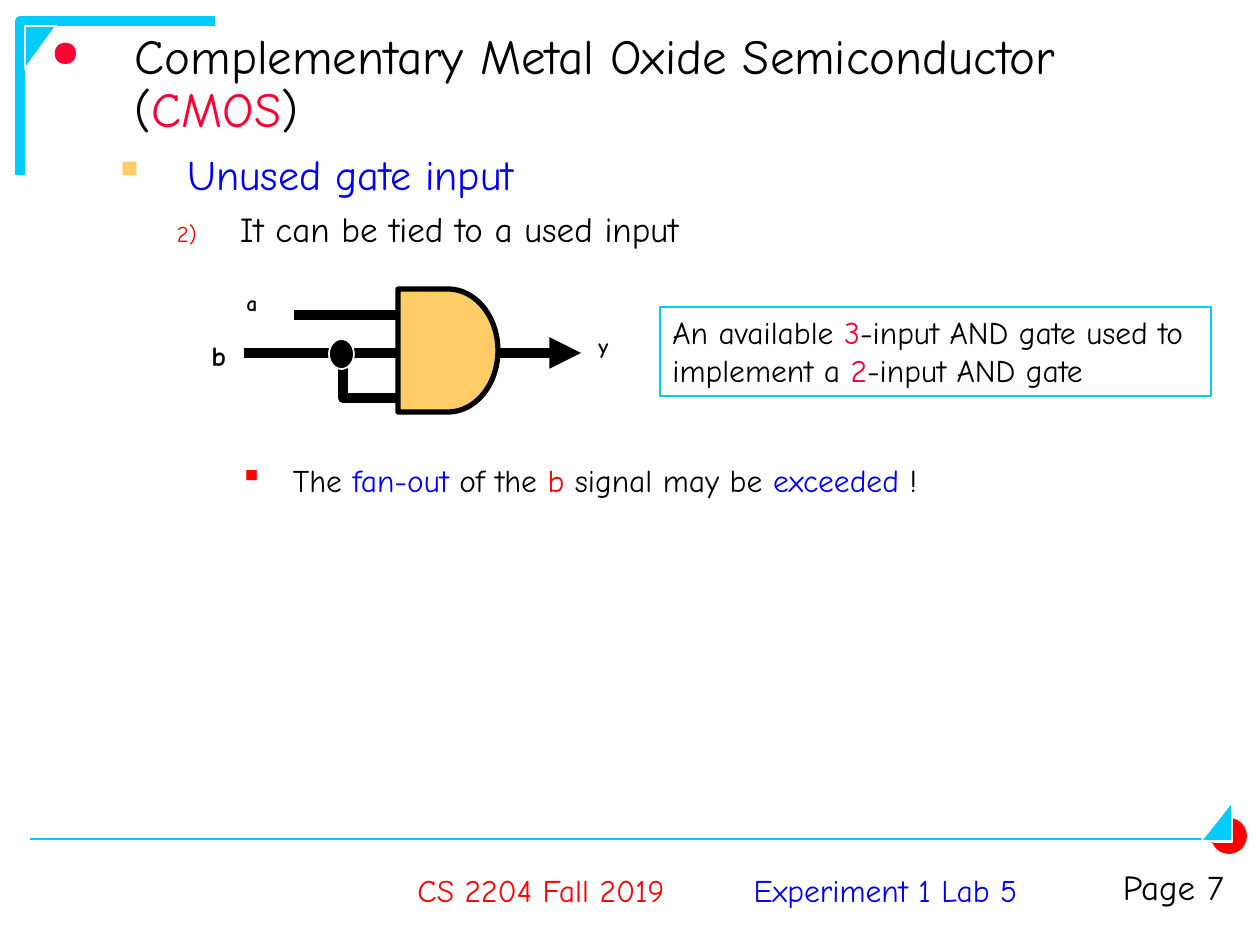
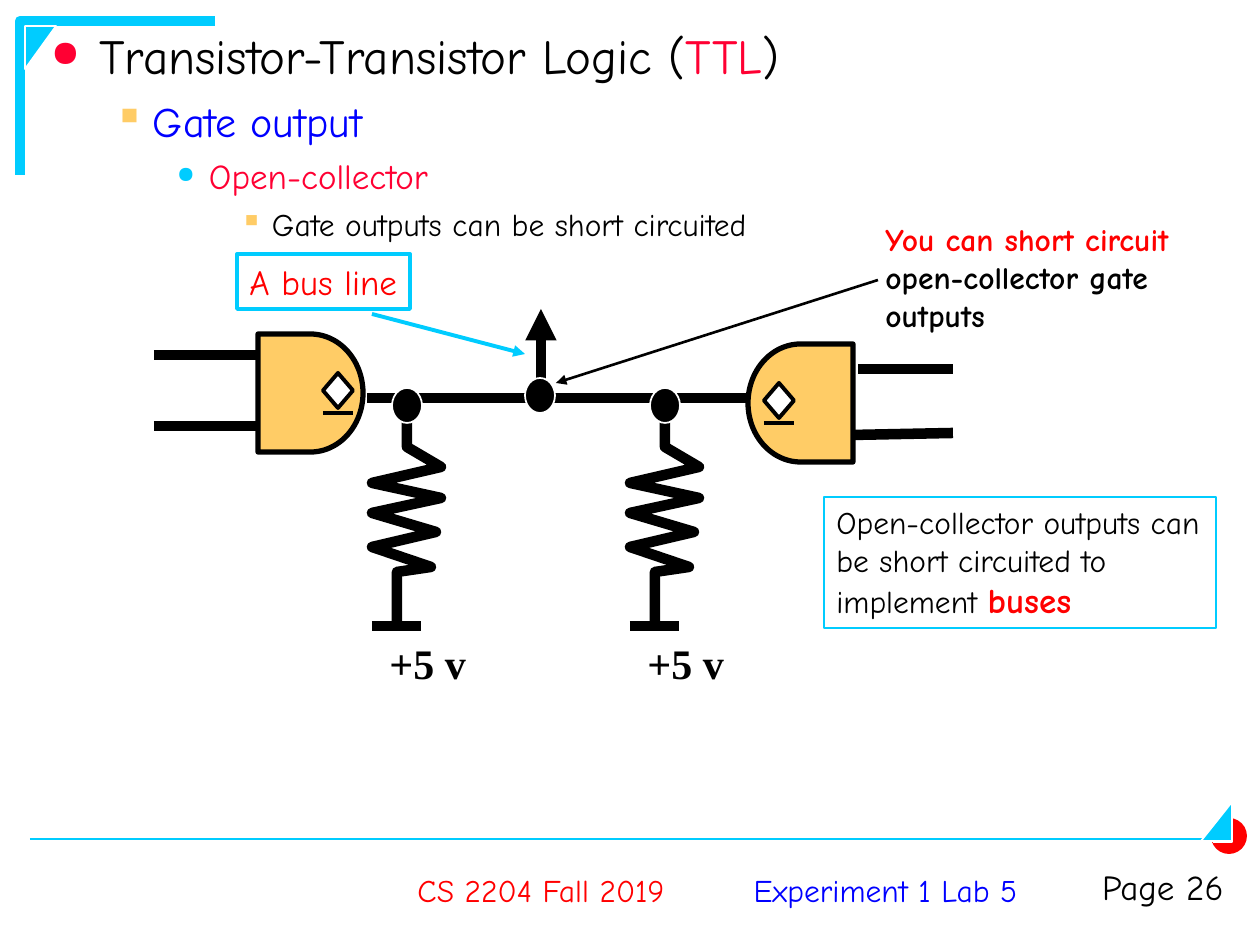
from lxml.etree import SubElement
from pptx import Presentation
from pptx.dml.color import RGBColor as RGB
from pptx.enum.shapes import MSO_CONNECTOR, MSO_SHAPE as Kind
from pptx.enum.text import MSO_ANCHOR as Anchor, PP_ALIGN as Align
from pptx.oxml.ns import qn
from pptx.util import Pt

PX = 7257  # EMU in one px, 126 px to the inch
FONT = "Comic Neue"
BLACK, WHITE = RGB(0, 0, 0), RGB(255, 255, 255)
RED, ROSE = RGB(255, 0, 0), RGB(255, 0, 51)
BLUE, CYAN, GOLD = RGB(0, 0, 255), RGB(0, 204, 255), RGB(255, 204, 102)
LEFT, MID, RIGHT = Align.LEFT, Align.CENTER, Align.RIGHT


def write(para, runs, size, bold=False, font=FONT):
    """Fill a paragraph with (text, colour) runs; a third item is a larger, bold size."""
    para.font.name, para.font.size, para.font.bold = font, Pt(size), bold
    for text, color, *big in runs:
        run = para.add_run()
        run.text = text
        run.font.color.rgb = color
        if big:
            run.font.size, run.font.bold = Pt(big[0]), True


def trace(shapes, points, color=BLACK, width=6, arrow=False):
    """Draw a straight connector through two points, or an open path through more."""
    if len(points) == 2:
        ends = [n * PX for point in points for n in point]
        part = shapes.add_connector(MSO_CONNECTOR.STRAIGHT, *ends)
    else:
        pen = shapes.build_freeform(*points[0], scale=PX)
        pen.add_line_segments(points[1:], close=False)
        part = pen.convert_to_shape()
        part.fill.background()
    part.line.color.rgb, part.line.width = color, Pt(width)
    props = part.element.spPr
    line = props.find(qn("a:ln"))
    SubElement(line, qn("a:round"))
    if arrow:
        SubElement(line, qn("a:tailEnd"), type="triangle")
    SubElement(props, qn("a:effectLst"))


# Shared frame. Wires: points, colour, width, arrow. Solids: kind, box, turn, fill, line, width.
EDGE = [
    ([(20, 175), (20, 21), (215, 21)], CYAN, 6),
    ([(30, 839), (1203, 839)], CYAN, 1.5),
]
TRIM = [
    (Kind.RIGHT_TRIANGLE, (19, 32, 43, 31), 90, CYAN, WHITE, 1),
    (Kind.OVAL, (1211, 818, 36, 36), 0, RED, None, 0),
    (Kind.RIGHT_TRIANGLE, (1197, 806, 39, 31), 270, CYAN, WHITE, 1),
]
NOTCH = [([(1232, 814), (1232, 842), (1213, 842)], WHITE, 0.75)]

# Outline rows: margin, hang, space before, size, bullet, bullet colour, bullet %, runs
CMOS = {
    "page": 7,
    "rows": [
        (84, 84, 7, 28, "●", ROSE, 75, [
            ("Complementary Metal Oxide Semiconductor (", BLACK), ("CMOS", ROSE), (")", BLACK)]),
        (136, 73, 6, 24, "▪", GOLD, 100, [("Unused gate input", BLUE)]),
        (189, 63, 5, 20, 2, RED, 65, [("It can be tied to a used input", BLACK)]),
        (242, 53, 120.5, 18, "▪", RED, 100, [
            ("The ", BLACK), ("fan-out", BLUE), (" of the ", BLACK), ("b", RED),
            (" signal may be ", BLACK), ("exceeded ", BLUE), ("!", BLACK)]),
    ],
    "wires": [
        ([(244, 353), (398, 353)],),
        ([(294, 315), (398, 315)],),
        ([(343, 358), (343, 398), (398, 398)],),
        ([(496, 353), (581, 353)], BLACK, 6, True),
    ],
    "solids": [
        (Kind.FLOWCHART_DELAY, (398, 289, 100, 123), 0, GOLD, BLACK, 3),
        (Kind.OVAL, (329, 339, 25, 30), 0, BLACK, WHITE, 1),
    ],
    "marks": [],
    # Notes: box, border width, line spacing, wrap, runs, size, bold, font
    "notes": [
        ((234, 291, 50, 32), 0, 0.7, True, [("a", BLACK)], 12.4, True),
        ((199, 339, 63, 42), 0, 0.8, True, [("b", BLACK)], 16, True),
        ((586, 334, 50, 32), 0, 0.7, True, [("y", BLACK)], 12.4, True),
        ((660, 307, 551, 89), 1, 1, True, [
            ("An available ", BLACK), ("3", ROSE), ("-input AND gate used to implement a ", BLACK),
            ("2", ROSE), ("-input AND gate", BLACK)], 18),
    ],
}
TTL = {
    "page": 26,
    "rows": [
        (48, 48, 7, 28, "●", ROSE, 75, [
            ("Transistor-Transistor Logic (", BLACK), ("TTL", ROSE), (")", BLACK)]),
        (102, 39, 6, 24, "▪", GOLD, 100, [("Gate output", BLUE)]),
        (158, 32, 5, 20, "●", CYAN, 65, [("Open-collector", ROSE)]),
        (221, 32, 4.5, 18, "▪", GOLD, 100, [("Gate outputs can be short circuited", BLACK)]),
    ],
    "wires": [
        ([(367, 398), (748, 398)],),
        ([(154, 355), (258, 355)],),
        ([(154, 426), (258, 426)],),
        ([(953, 369), (858, 369)],),
        ([(953, 433), (853, 435)],),
        ([(541, 393), (541, 309)], BLACK, 6, True),
    ],
    "solids": [(Kind.OVAL, (525, 378, 30, 35), 0, BLACK, WHITE, 1)],
    "marks": [
        ([(878, 280), (556, 383)], BLACK, 1.5, True),
        ([(372, 314), (525, 354)], CYAN, 2.25, True),
    ],
    "notes": [
        ((873, 214, 348, 126), 0, 1, True, [
            ("You can short circuit", RED), (" open-collector gate outputs", BLACK)], 18, True),
        ((824, 497, 392, 131), 1, 1, True, [
            ("Open-collector outputs can be short circuited to implement ", BLACK),
            ("buses", RED, 20)], 18),
        ((237, 254, 173, 55), 2.25, 1, False, [("A bus line", RED)], 20),
    ],
}

# Pull-up resistors on the bus
ZIGZAG = [(407, 408), (407, 447), (441, 467), (372, 483), (441, 498), (372, 513),
          (436, 532), (372, 547), (431, 567), (397, 572), (397, 621)]
for shift in (0, 258):
    TTL["wires"] += [([(x + shift, y) for x, y in ZIGZAG],),
                     ([(372 + shift, 626), (421 + shift, 626)],)]
    TTL["solids"].append((Kind.OVAL, (392 + shift, 388, 30, 35), 0, BLACK, WHITE, 1))
    TTL["notes"].append(((377 + shift, 631, 110, 63), 0, 1, True,
                         [("+5 v", BLACK)], 24, True, "Times New Roman"))

# Gates with their open-collector sign
for left, top, turn, sign in ((258, 334, 0, 323), (748, 344, 180, 764)):
    TTL["solids"] += [
        (Kind.FLOWCHART_DELAY, (left, top, 105, 118), turn, GOLD, BLACK, 3),
        (Kind.DIAMOND, (sign, top + 39, 30, 35), 0, WHITE, BLACK, 2.25),
    ]
    TTL["marks"].append(([(sign, top + 79), (sign + 30, top + 79)], BLACK, 2.25))

deck = Presentation()
deck.slide_width, deck.slide_height = 1260 * PX, 945 * PX

for plan in (CMOS, TTL):
    shapes = deck.slides.add_slide(deck.slide_layouts[6]).shapes

    for wire in EDGE + plan["wires"]:
        trace(shapes, *wire)
    for kind, box, turn, fill, line, width in TRIM + plan["solids"]:
        solid = shapes.add_shape(kind, *[n * PX for n in box])
        solid.shadow.inherit = False
        solid.rotation = turn
        solid.fill.solid()
        solid.fill.fore_color.rgb = fill
        if line is None:
            solid.line.fill.background()
        else:
            solid.line.color.rgb, solid.line.width = line, Pt(width)
    for mark in NOTCH + plan["marks"]:
        trace(shapes, *mark)

    body = shapes.add_textbox(26 * PX, 26 * PX, 1207 * PX, 814 * PX).text_frame
    body.word_wrap = True
    body.margin_left = body.margin_right = 25 * PX
    for i, (margin, hang, gap, size, sign, tint, scale, runs) in enumerate(plan["rows"]):
        para = body.add_paragraph() if i else body.paragraphs[0]
        para.level = i
        para.line_spacing = 1 if i else 0.9
        para.space_before = Pt(gap if i else 0)
        props = para._p.get_or_add_pPr()
        props.set("marL", str(margin * PX))
        props.set("indent", str(-hang * PX))
        SubElement(SubElement(props, qn("a:buClr")), qn("a:srgbClr"), val=str(tint))
        SubElement(props, qn("a:buSzPct"), val=str(scale * 1000))
        if isinstance(sign, int):
            SubElement(props, qn("a:buAutoNum"), type="arabicParenR", startAt=str(sign))
        else:
            SubElement(props, qn("a:buChar"), char=sign)
        write(para, runs, size)

    for box, border, pitch, wrap, *words in plan["notes"]:
        note = shapes.add_textbox(*[n * PX for n in box])
        if border:
            note.line.color.rgb, note.line.width = CYAN, Pt(border)
        note.text_frame.word_wrap = wrap
        para = note.text_frame.paragraphs[0]
        para.line_spacing = pitch
        write(para, *words)

    for box, anchor, align, text, color, size in (
        ((724, 849, 323, 81), Anchor.MIDDLE, MID, "Experiment 1 Lab 5", BLUE, 18),
        ((377, 849, 328, 81), Anchor.MIDDLE, MID, "CS 2204 Fall 2019", RED, 18),
        ((1052, 859, 184, 71), Anchor.TOP, RIGHT, f"Page {plan['page']}", BLACK, 20),
    ):
        foot = shapes.add_textbox(*[n * PX for n in box]).text_frame
        foot.word_wrap = True
        foot.vertical_anchor = anchor
        foot.paragraphs[0].alignment = align
        write(foot.paragraphs[0], [(text, color)], size)

deck.save("out.pptx")
